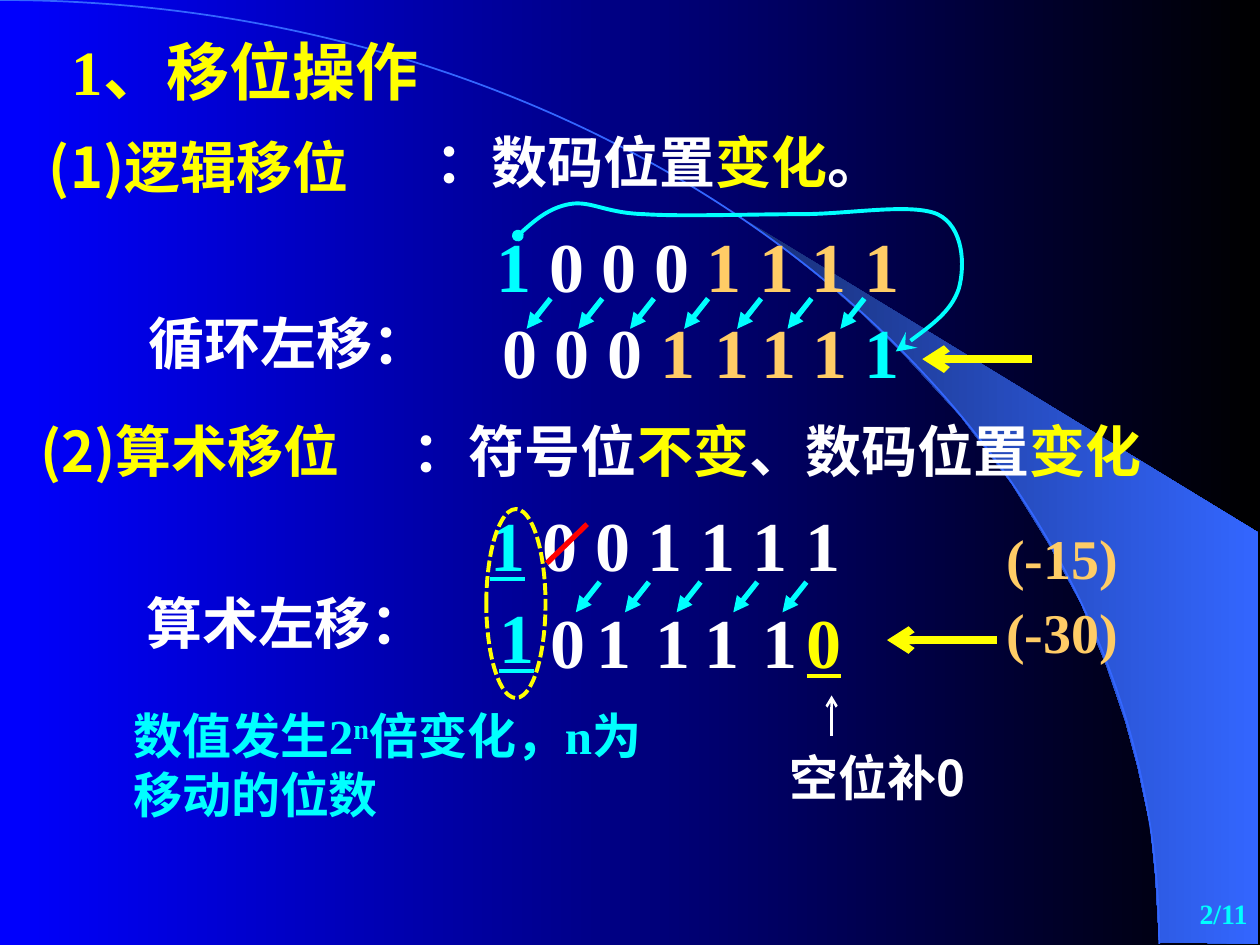
from lxml.etree import SubElement
from pptx import Presentation
from pptx.dml.color import RGBColor
from pptx.enum.dml import MSO_LINE
from pptx.enum.shapes import MSO_CONNECTOR, MSO_SHAPE
from pptx.enum.text import MSO_ANCHOR, PP_ALIGN
from pptx.oxml.ns import qn
from pptx.util import Inches, Pt

WHITE, YELLOW, CYAN = "FFFFFF", "FFFF00", "00FFFF"
GOLD, RED, BLUE = "FFCC66", "FF0000", "3366FF"
SERIF, SANS = "Times New Roman", "Noto Sans CJK SC"
LEFT, MID, RIGHT = PP_ALIGN.LEFT, PP_ALIGN.CENTER, PP_ALIGN.RIGHT


def paint(code):
    return RGBColor.from_string(code)


class Board:
    def __init__(self, slide):
        self.slide = slide
        self.shapes = slide.shapes
        self.style = {"bold": True, "name": SERIF}

    def blend(self, fill, *codes):
        fill.gradient()
        fill.gradient_angle = 0
        for stop, code in zip(fill.gradient_stops, codes):
            stop.color.rgb = paint(code)

    def text(self, x, y, w, h, runs, size, align=MID, anchor=MSO_ANCHOR.TOP):
        frame = self.shapes.add_textbox(*map(Inches, (x, y, w, h))).text_frame
        frame.word_wrap = True
        frame.vertical_anchor = anchor
        para = frame.paragraphs[0]
        para.alignment = align
        for words, code, *extra in runs:
            run = para.add_run()
            run.text = words
            look = {**self.style, "size": Pt(size), **(extra[0] if extra else {})}
            base = look.pop("base", None)
            for key, value in look.items():
                setattr(run.font, key, value)
            run.font.color.rgb = paint(code)
            props = run._r.get_or_add_rPr()
            SubElement(props, qn("a:ea")).set("typeface", SANS)
            if base:
                props.set("baseline", base)

    def digit(self, mid, y, word, code, under=False):
        self.text(mid - 0.29, y, 0.58, 0.77, [(word, code, {"underline": under})], 40)

    def stroke(self, shape, code, width, head=None, tail=None, size="med"):
        shape.line.color.rgb = paint(code)
        shape.line.width = Pt(width)
        for tag, kind in (("a:headEnd", head), ("a:tailEnd", tail)):
            if kind:
                end = SubElement(shape.line._ln, qn(tag))
                for key, value in {"type": kind, "w": size, "len": size}.items():
                    end.set(key, value)
                size = "lg"

    def line(self, x, y, dx, dy, code, width, tail=None):
        link = self.shapes.add_connector(
            MSO_CONNECTOR.STRAIGHT, *map(Inches, (x, y, x + dx, y + dy)))
        self.stroke(link, code, width, tail=tail)
        SubElement(link._element.spPr, qn("a:effectLst"))

    def shift(self, starts, y):
        for x in starts:
            self.line(x, y, -0.19, 0.24, CYAN, 3, "triangle")

    def outline(self, points, close=False):
        spots = [(Inches(x), Inches(y)) for x, y in points]
        maker = self.shapes.build_freeform(*spots[0])
        maker.add_line_segments(spots[1:], close=close)
        shape = maker.convert_to_shape()
        shape.shadow.inherit = False
        shape.fill.background()
        return shape

    def curve(self, points):
        shape = self.outline(points)
        legs = list(shape._element.iter(qn("a:lnTo")))
        track = legs[0].getparent()
        for i in range(0, len(legs), 3):
            bend = SubElement(track, qn("a:cubicBezTo"))
            for leg in legs[i:i + 3]:
                bend.append(leg[0])
                track.remove(leg)
        return shape

    def ring(self, x, y, w, h, code, width):
        oval = self.shapes.add_shape(MSO_SHAPE.OVAL, *map(Inches, (x, y, w, h)))
        oval.shadow.inherit = False
        oval.fill.background()
        self.stroke(oval, code, width)
        oval.line.dash_style = MSO_LINE.SQUARE_DOT


def main():
    deck = Presentation()
    deck.slide_width, deck.slide_height = Inches(10), Inches(7.5)
    board = Board(deck.slides.add_slide(deck.slide_layouts[6]))
    board.blend(board.slide.background.fill, "0000FF", "000000")

    beam = board.outline([
        (9.2, 7.48), (9.99, 7.49), (9.99, 4.23), (5.89, 1.73), (6.24, 1.99),
        (6.53, 2.22), (6.85, 2.5), (7.16, 2.8), (7.62, 3.3), (8.03, 3.84),
        (8.32, 4.31), (8.58, 4.79), (8.78, 5.28), (8.93, 5.72), (9.03, 6.09),
        (9.13, 6.56), (9.17, 6.96)], close=True)
    board.blend(beam.fill, "182F76", BLUE)
    beam.line.fill.background()
    arc = board.curve([(0, 0), (5.08, 0), (9.2, 3.35), (9.2, 7.49)])
    board.stroke(arc, BLUE, 1)

    sans = {"name": SANS}
    board.text(0.47, 0.21, 5, 0.7, [("1、移位操作", YELLOW)], 36, LEFT)
    for x, y, h, mark, name in ((0.29, 1, 1.04, "(1)", "逻辑移位"),
                                (0.22, 3.26, 0.64, "(2)", "算术移位")):
        board.text(x, y, 2.98, h, [(mark, YELLOW, sans), (name, YELLOW)], 32, LEFT)
    board.text(3.15, 0.96, 4.17, 0.64, [
        ("：数码位置", WHITE), ("变化", YELLOW), ("。", WHITE)], 32)
    board.text(2.85, 3.26, 6.64, 0.64, [
        ("：符号位", WHITE), ("不变", YELLOW),
        ("、数码位置", WHITE), ("变化", YELLOW)], 32)
    for y, w, name in ((2.4, 2.66, "循环左移："), (4.62, 2.63, "算术左移：")):
        board.text(0.96, y, w, 0.64, [(name, WHITE, sans)], 32)

    board.text(3.54, 1.72, 4, 0.77, [
        ("1", CYAN), (" 0 0 0 ", WHITE), ("1 1 1 1", GOLD)], 40)
    board.text(3.28, 3.93, 4, 0.77, [
        ("1", CYAN, {"underline": True}), (" 0 0 1 1 1 1", WHITE)], 40)
    mids = (4.13, 4.54, 4.96, 5.38, 5.81, 6.18, 6.59, 7)
    for mid, word, code in zip(mids, "00011111", [WHITE] * 3 + [GOLD] * 4 + [CYAN]):
        board.digit(mid, 2.4, word, code)
    board.digit(4.1, 4.66, "1", CYAN, True)
    for mid, word in zip((4.51, 4.87, 5.34, 5.73, 6.19), "01111"):
        board.digit(mid, 4.7, word, WHITE)
    board.digit(6.54, 4.7, "0", YELLOW, True)
    for y, name in ((4.11, "(-15)"), (4.69, "(-30)")):
        board.text(7.59, y, 1.68, 0.64, [(name, GOLD)], 32)

    loop = board.curve([
        (4.11, 1.87),
        (4.23, 1.76), (4.36, 1.65), (4.52, 1.62),
        (4.69, 1.59), (4.8, 1.69), (5.11, 1.7),
        (5.41, 1.72), (5.97, 1.7), (6.36, 1.7),
        (6.74, 1.7), (7.23, 1.61), (7.44, 1.7),
        (7.65, 1.8), (7.66, 2.11), (7.61, 2.29),
        (7.55, 2.47), (7.33, 2.63), (7.11, 2.79)])
    board.stroke(loop, CYAN, 2.25, "oval", "stealth")
    for x, y in ((8.19, 2.85), (7.91, 5.08)):
        board.line(x, y, -0.87, 0, YELLOW, 4.5, "arrow")
    board.shift((4.37, 4.78, 5.19, 5.62, 6.04, 6.44, 6.86), 2.37)
    board.shift((4.76, 5.15, 5.56, 6.01, 6.4), 4.62)
    board.ring(3.86, 4.04, 0.47, 1.5, YELLOW, 2.25)
    board.line(4.66, 4.16, -0.32, 0.31, RED, 3)

    board.text(0.96, 5.55, 4.33, 1.04, [
        ("数值发生2", CYAN), ("n", CYAN, {"base": "30000"}),
        ("倍变化，n为移动的位数", CYAN)], 28, LEFT)
    board.text(5.98, 5.88, 1.97, 0.57, [("空位补0", WHITE, sans)], 28)
    board.line(6.6, 5.84, 0, -0.32, WHITE, 1.5, "arrow")
    board.text(7.92, 7, 2.08, 0.5, [("2/11", CYAN)], 16, RIGHT, MSO_ANCHOR.MIDDLE)
    deck.save("out.pptx")


if __name__ == "__main__":
    main()
